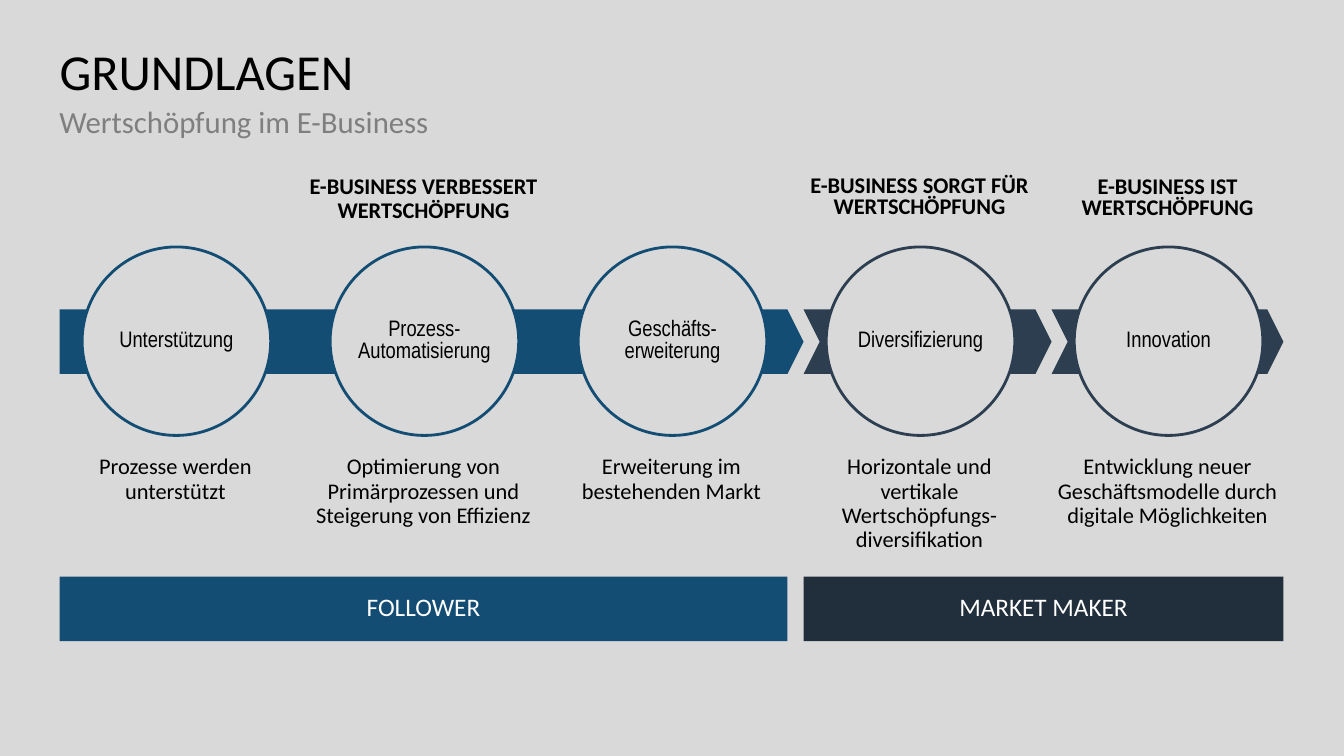
from pptx import Presentation
from pptx import util as u
from pptx.dml.color import RGBColor
from pptx.enum import shapes, text

BLACK = RGBColor(0x00, 0x00, 0x00)
WHITE = RGBColor(0xFF, 0xFF, 0xFF)
GREY = RGBColor(0x7F, 0x7F, 0x7F)
PAPER = RGBColor(0xD9, 0xD9, 0xD9)
BLUE = RGBColor(0x14, 0x4D, 0x73)
SLATE = RGBColor(0x2C, 0x3E, 0x50)
NIGHT = RGBColor(0x21, 0x2E, 0x3C)

LEFT, COLUMN, PITCH = 0.59, 2.3, 2.46
BAND = 0.64
CIRCLE = 1.87
ARROW_TOP, CIRCLE_TOP, NOTE_TOP, BAR_TOP = 3.07, 2.45, 4.48, 5.72

STAGES = [
    ("Unterstützung", "Prozesse werden unterstützt", BLUE),
    ("Prozess-\vAutomatisierung",
     "Optimierung von Primärprozessen und Steigerung von Effizienz", BLUE),
    ("Geschäfts-\verweiterung", "Erweiterung im bestehenden Markt", BLUE),
    ("Diversifizierung",
     "Horizontale und vertikale Wertschöpfungs-diversifikation", SLATE),
    ("Innovation",
     "Entwicklung neuer Geschäftsmodelle durch digitale Möglichkeiten", SLATE),
]
# text, first column, columns covered, top, line spacing
HEADINGS = [
    ("E-BUSINESS VERBESSERT\vWERTSCHÖPFUNG", 0, 3, 1.66, 0.9),
    ("E-BUSINESS SORGT FÜR WERTSCHÖPFUNG", 3, 1, 1.64, 0.8),
    ("E-BUSINESS IST WERTSCHÖPFUNG", 4, 1, 1.65, 0.8),
]


def column_left(column):
    return LEFT + column * PITCH


def span_width(columns):
    return (columns - 1) * PITCH + COLUMN


def inches(*lengths):
    return [u.Inches(length) for length in lengths]


def write(shape, words, size, color=BLACK, font="Calibri", bold=False,
          align=text.PP_ALIGN.CENTER, anchor=text.MSO_ANCHOR.MIDDLE,
          spacing=0.9, inset=0.04):
    frame = shape.text_frame
    frame.word_wrap = True
    frame.auto_size = text.MSO_AUTO_SIZE.NONE
    frame.vertical_anchor = anchor
    frame.margin_left = frame.margin_right = u.Inches(inset)
    frame.margin_top = frame.margin_bottom = u.Inches(inset)
    para = frame.paragraphs[0]
    para.text = words
    para.alignment = align
    para.line_spacing = spacing
    for span in para.runs:
        span.font.name = font
        span.font.size = u.Pt(size)
        span.font.bold = bold
        span.font.color.rgb = color


def add_label(page, words, left, top, width, height, size, **style):
    box = page.shapes.add_textbox(*inches(left, top, width, height))
    write(box, words, size, **style)


def add_figure(page, kind, left, top, width, height, fill, outline=None):
    figure = page.shapes.add_shape(kind, *inches(left, top, width, height))
    figure.shadow.inherit = False
    figure.fill.solid()
    figure.fill.fore_color.rgb = fill
    if outline is None:
        figure.line.fill.background()
    else:
        figure.line.color.rgb = outline
        figure.line.width = u.Pt(2)
    return figure


def add_arrow(page, kind, column, width, fill):
    arrow = add_figure(page, kind, column_left(column), ARROW_TOP,
                       width, BAND, fill)
    arrow.adjustments[0] = 0.25


def add_bar(page, words, column, columns, fill):
    bar = add_figure(page, shapes.MSO_SHAPE.RECTANGLE, column_left(column),
                     BAR_TOP, span_width(columns), BAND, fill)
    write(bar, words, 18, color=WHITE)


def add_stage(page, column, name, note, color):
    """Draw one circle and the explanation below it."""
    left = column_left(column)
    circle = add_figure(page, shapes.MSO_SHAPE.OVAL,
                        left + (COLUMN - CIRCLE) / 2 + 0.01, CIRCLE_TOP,
                        CIRCLE, CIRCLE, PAPER, color)
    write(circle, name, 16, font="Arial Narrow", spacing=0.8, inset=0)
    add_label(page, note, left, NOTE_TOP, COLUMN, 1.06, 16,
              anchor=text.MSO_ANCHOR.TOP)


def add_titles(page):
    flush = dict(align=text.PP_ALIGN.LEFT, anchor=text.MSO_ANCHOR.TOP, inset=0)
    title = page.shapes.title
    width = span_width(5)
    title.left, title.top, title.width, title.height = inches(
        LEFT, 0.47, width, 1.18)
    write(title, "GRUNDLAGEN", 36, **flush)
    add_label(page, "Wertschöpfung im E-Business", LEFT, 1.06, width, 0.59,
              22, color=GREY, **flush)


def main():
    deck = Presentation()
    deck.slide_width, deck.slide_height = inches(13.33, 7.5)
    page = deck.slides.add_slide(deck.slide_layouts[5])
    page.background.fill.solid()
    page.background.fill.fore_color.rgb = PAPER

    add_titles(page)
    add_arrow(page, shapes.MSO_SHAPE.CHEVRON, 4, COLUMN, SLATE)
    add_arrow(page, shapes.MSO_SHAPE.CHEVRON, 3, PITCH, SLATE)
    add_arrow(page, shapes.MSO_SHAPE.PENTAGON, 0, 3 * PITCH, BLUE)
    for words, column, columns, top, spacing in HEADINGS:
        add_label(page, words, column_left(column), top, span_width(columns),
                  BAND, 16, bold=True, spacing=spacing)
    for column, (name, note, color) in enumerate(STAGES):
        add_stage(page, column, name, note, color)
    add_bar(page, "FOLLOWER", 0, 3, BLUE)
    add_bar(page, "MARKET MAKER", 3, 2, NIGHT)
    deck.save("out.pptx")


if __name__ == "__main__":
    main()
